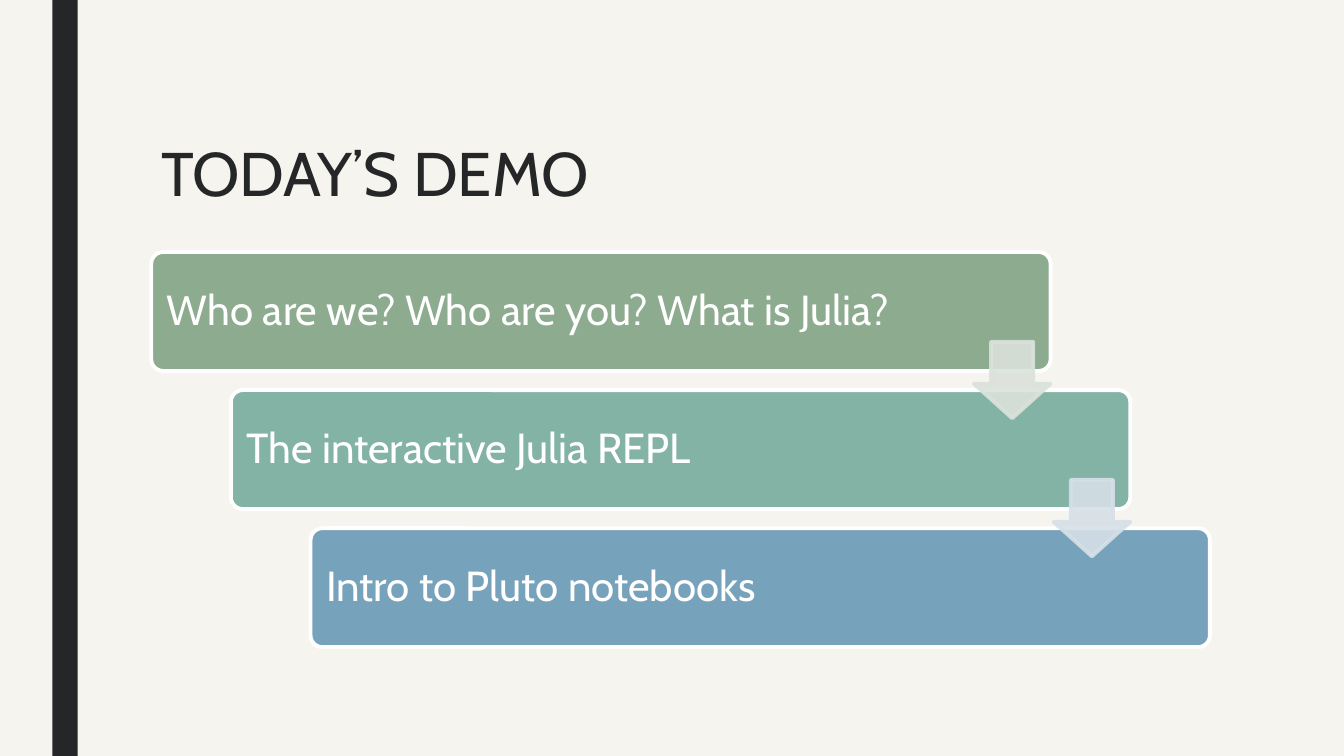
from collections import namedtuple
from dataclasses import dataclass

from lxml import etree
from pptx import Presentation
from pptx import util as u
from pptx.dml.color import RGBColor
from pptx.enum import shapes, text
from pptx.oxml.ns import qn

PX = u.Inches(1) // 100
Box = namedtuple("Box", "left top width height")


@dataclass(frozen=True)
class Theme:
    """Colours and type sizes of the slide."""
    font: str = "Cabin"
    paper: str = "F6F4EE"
    ink: str = "252627"
    white: str = "FFFFFF"
    cards: tuple = ("8DAB8E", "82B3A4", "77A2BB")
    arrows: tuple = ("DBE2DB", "D6E0E7")
    arrow_opacity: int = 90
    title_size: int = 44
    card_size: int = 30
    outline: float = 2.75


THEME = Theme()
STEPS = (
    "Who are we? Who are you? What is Julia?",
    "The interactive Julia REPL",
    "Intro to Pluto notebooks",
)


def emu(box):
    """Turn a box in px into EMU lengths."""
    return [length * PX for length in box]


def add_block(page, kind, box, fill, line=None):
    """Add a flat shape, outlined when a line colour is given."""
    block = page.shapes.add_shape(kind, *emu(box))
    block.shadow.inherit = False
    block.fill.solid()
    block.fill.fore_color.rgb = RGBColor.from_string(fill)
    if line:
        block.line.color.rgb = RGBColor.from_string(line)
        block.line.width = u.Pt(THEME.outline)
    else:
        block.line.fill.background()
    return block


def write(frame, words, size, color, spacing):
    """Write one left-aligned paragraph in the theme font."""
    frame.word_wrap = True
    frame.text = words
    para = frame.paragraphs[0]
    para.alignment = text.PP_ALIGN.LEFT
    para.line_spacing = spacing
    span = para.runs[0]
    span.font.name = THEME.font
    span.font.size = u.Pt(size)
    span.font.color.rgb = RGBColor.from_string(color)


def add_title(page, box, words):
    """Add the slide title at the top of the box."""
    frame = page.shapes.add_textbox(*emu(box)).text_frame
    write(frame, words, THEME.title_size, THEME.ink, 0.89)


def add_card(page, box, words, fill):
    """Add a rounded card holding one step."""
    card = add_block(page, shapes.MSO_SHAPE.ROUNDED_RECTANGLE, box, fill, THEME.white)
    card.adjustments[0] = 0.1
    frame = card.text_frame
    frame.vertical_anchor = text.MSO_ANCHOR.MIDDLE
    frame.margin_left = frame.margin_right = 12 * PX
    frame.margin_top = frame.margin_bottom = 12 * PX
    write(frame, words, THEME.card_size, THEME.white, 0.9)


def add_arrow(page, box, color):
    """Add a translucent down arrow."""
    arrow = add_block(page, shapes.MSO_SHAPE.DOWN_ARROW, box, color, color)
    arrow.adjustments[0] = 0.55
    arrow.adjustments[1] = 0.45
    for tint in arrow._element.spPr.iter(qn("a:srgbClr")):
        alpha = etree.SubElement(tint, qn("a:alpha"))
        alpha.set("val", str(THEME.arrow_opacity * 1000))


def add_staircase(page, box, steps):
    """Lay the steps corner to corner in the box, with arrows between them."""
    card_width, card_height, arrow_size = 892, 118, 76
    gaps = len(steps) - 1
    shift = (box.width - card_width) // gaps
    drop = (box.height - card_height) // gaps
    cards = [
        Box(box.left + shift * index, box.top + drop * index, card_width, card_height)
        for index in range(len(steps))
    ]
    for card, words, fill in zip(cards, steps, THEME.cards):
        add_card(page, card, words, fill)
    for card, color in zip(cards, THEME.arrows):
        left = card.left + card_width - arrow_size
        top = card.top + (card_height + drop - arrow_size) // 2
        add_arrow(page, Box(left, top, arrow_size, arrow_size), color)


def add_demo_page(deck):
    """Add the slide that lists the steps of the demo."""
    page = deck.slides.add_slide(deck.slide_layouts[6])
    page.background.fill.solid()
    page.background.fill.fore_color.rgb = RGBColor.from_string(THEME.paper)
    add_block(page, shapes.MSO_SHAPE.RECTANGLE, Box(52, 0, 25, 750), THEME.ink)
    add_title(page, Box(150, 138, 1050, 162), "TODAY’S DEMO")
    add_staircase(page, Box(150, 250, 1050, 392), STEPS)


def main():
    """Build and save the deck."""
    deck = Presentation()
    deck.slide_width, deck.slide_height = 1333 * PX, 750 * PX
    add_demo_page(deck)
    deck.save("out.pptx")


if __name__ == "__main__":
    main()
